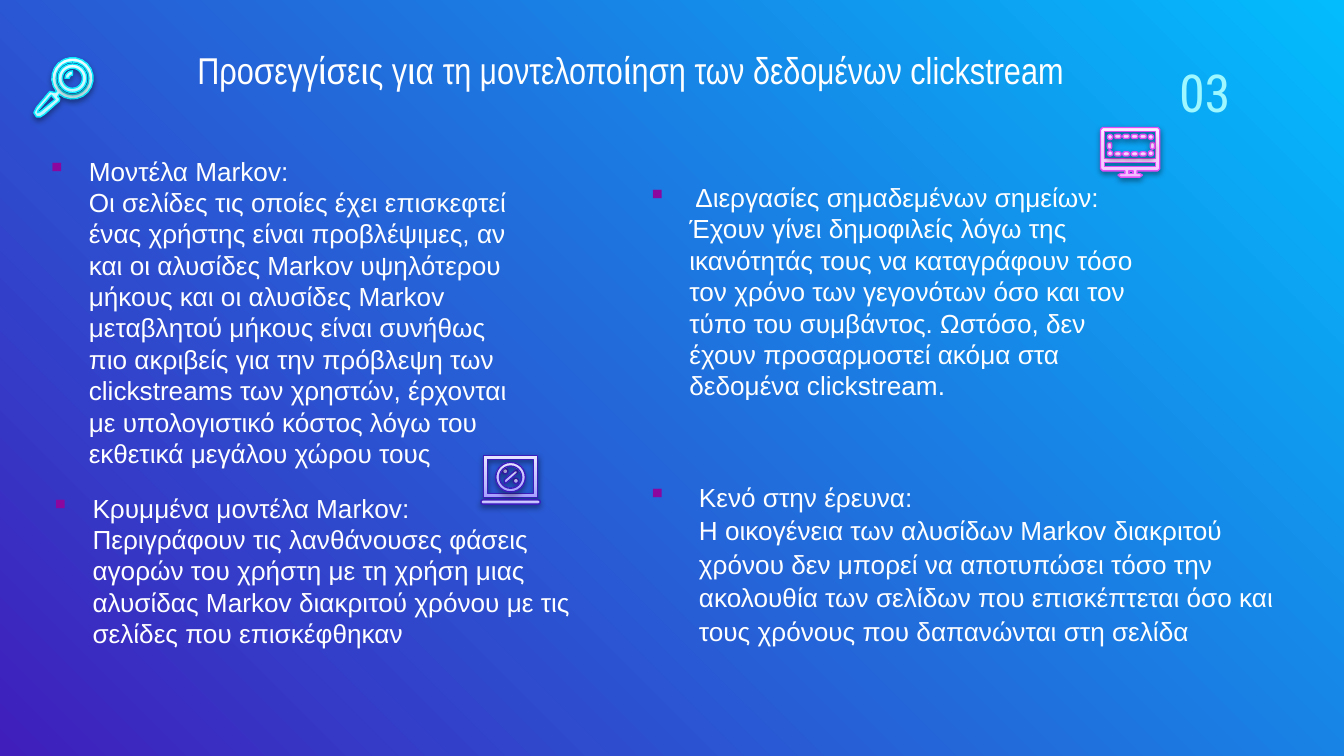
"""Build the slide on approaches to modelling clickstream data."""
from dataclasses import dataclass
from math import cos, radians, sin

from lxml import etree
from pptx import Presentation
from pptx.dml.color import RGBColor
from pptx.enum.shapes import MSO_SHAPE
from pptx.enum.text import MSO_ANCHOR, PP_ALIGN
from pptx.oxml.ns import qn
from pptx.util import Cm, Pt

TOP, BOTTOM = MSO_ANCHOR.TOP, MSO_ANCHOR.BOTTOM
LEFT, CENTER = PP_ALIGN.LEFT, PP_ALIGN.CENTER
ROUNDED, DONUT = MSO_SHAPE.ROUNDED_RECTANGLE, MSO_SHAPE.DONUT


@dataclass(frozen=True)
class Theme:
    text: str = "FFFFFF"
    number: str = "9FF7FF"
    bullet: str = "8C079E"
    shadow: str = "000000"
    backdrop: tuple = ((0, "401EBB"), (100, "02BCFD"))
    cyan: tuple = ("0AECFF", ((0, "BDF6FF"), (35, "D1F8FF"), (100, "EEFCFF")))
    pink: tuple = ("E14EF6", ((0, "F4BFFF"), (35, "F7D2FF"), (100, "FCEEFF")))
    violet: tuple = ("3A1DBC", ((0, "A69FFF"), (35, "C0BBFF"), (100, "E7E5FF")))
    title_font: str = "Arial Narrow"
    number_font: str = "Roboto Condensed"
    body_font: str = "Arial"
    space_font: str = "Calibri"
    title_size: int = 20
    number_size: int = 28
    body_size: int = 14


def child(parent, tag, **attributes):
    return etree.SubElement(parent, qn(tag), {k: str(v) for k, v in attributes.items()})


def arc(cx, cy, r, start, end, steps):
    angles = [radians(start + (end - start) * i / steps) for i in range(steps + 1)]
    return [(cx + r * cos(a), cy + r * sin(a)) for a in angles]


def box(left, top, width, height):
    right, bottom = left + width, top + height
    return [(left, top), (right, top), (right, bottom), (left, bottom)]


class SlideBuilder:
    def __init__(self, slide, theme):
        self.slide = slide
        self.theme = theme

    def gradient(self, fill, element, stops, angle):
        fill.gradient()
        fill.gradient_angle = angle
        stop_list = element.xpath(".//a:gradFill/a:gsLst")[0]
        for stop in list(stop_list):
            stop_list.remove(stop)
        for position, color in stops:
            child(child(stop_list, "a:gs", pos=position * 1000), "a:srgbClr", val=color)

    def background(self):
        self.gradient(self.slide.background.fill, self.slide.element, self.theme.backdrop, 45)

    def run(self, paragraph, text, font, size, color):
        run = paragraph.add_run()
        run.text = text
        run.font.name = font
        run.font.size = Pt(size)
        run.font.color.rgb = RGBColor.from_string(color)

    def frame(self, place, anchor=TOP, inset=0.25, top_inset=0.25):
        frame = self.slide.shapes.add_textbox(*map(Cm, place)).text_frame
        frame.word_wrap = True
        frame.vertical_anchor = anchor
        frame.margin_top, frame.margin_bottom = Cm(top_inset), Cm(inset)
        return frame

    def heading(self, place, text, font, size, color, align=LEFT, anchor=TOP):
        paragraph = self.frame(place, anchor).paragraphs[0]
        paragraph.alignment = align
        self.run(paragraph, text, font, size, color)

    def topic(self, place, name, detail, indent=0.79, top_inset=0.13, lead="", spacing=None):
        theme = self.theme
        paragraph = self.frame(place, inset=0.13, top_inset=top_inset).paragraphs[0]
        if spacing:
            paragraph.line_spacing = spacing
            paragraph.space_after = Pt(8)
        properties = paragraph._p.get_or_add_pPr()
        properties.set("marL", str(Cm(indent)))
        properties.set("indent", str(-Cm(indent)))
        child(child(properties, "a:buClr"), "a:srgbClr", val=theme.bullet)
        child(properties, "a:buChar", char="▪")
        if lead:
            self.run(paragraph, lead, theme.space_font, theme.body_size, theme.text)
        self.run(paragraph, name, theme.body_font, theme.body_size, theme.text)
        paragraph.add_line_break()
        self.run(paragraph, detail, theme.body_font, theme.body_size, theme.text)

    def outline(self, *contours):
        builder = None
        for contour in contours:
            start, *rest = [(Cm(x), Cm(y)) for x, y in contour]
            if builder is None:
                builder = self.slide.shapes.build_freeform(*start)
            else:
                builder.move_to(*start)
            builder.add_line_segments(rest, close=True)
        return builder.convert_to_shape()

    def pill(self, *place):
        shape = self.slide.shapes.add_shape(ROUNDED, *map(Cm, place))
        shape.adjustments[0] = 0.5
        return shape

    def ring(self, cx, cy, r, inner):
        place = (cx - r, cy - r, 2 * r, 2 * r)
        shape = self.slide.shapes.add_shape(DONUT, *map(Cm, place))
        shape.adjustments[0] = (r - inner) / (2 * r)
        return shape

    def icon(self, parts, palette):
        line_color, stops = palette
        for shape in parts:
            self.gradient(shape.fill, shape.element, stops, 90)
            shape.line.color.rgb = RGBColor.from_string(line_color)
            shape.line.width = Pt(0.75)
            shape.shadow.inherit = False
            effects = shape.element.spPr.find(qn("a:effectLst"))
            shadow = child(effects, "a:outerShdw", blurRad=Pt(3.1), dist=Pt(1.6),
                           dir=5400000, rotWithShape=0)
            child(child(shadow, "a:srgbClr", val=self.theme.shadow), "a:alpha", val=38000)
        self.slide.shapes.add_group_shape(shapes=parts)


def magnifier(page):
    center = (1.37, 1.48)
    handle = [(1.07, 1.73), (1.04, 1.75), (0.94, 1.73), (0.69, 2.03), (0.64, 2.13),
              (0.69, 2.21), (0.76, 2.21), (0.84, 2.16), (1.12, 1.91), (1.13, 1.86),
              (1.09, 1.83), (1.12, 1.78)]
    grip = [(0.97, 1.8), (1.04, 1.88), (0.76, 2.11), (0.71, 2.13), (0.72, 2.09)]
    body = handle + arc(*center, 0.39, 130, -220, 20)
    glint = arc(*center, 0.14, 180, 270, 4) + arc(*center, 0.06, 270, 180, 4)
    return [page.outline(body, arc(*center, 0.31, 0, 360, 20), grip),
            page.ring(*center, 0.27, 0.19), page.outline(glint)]


def monitor(page):
    body = [(20.84, 2.41), (21.88, 2.41), (21.92, 2.45), (21.92, 3.19), (21.88, 3.23),
            (21.49, 3.23), (21.49, 3.28), (21.54, 3.28), (21.59, 3.31), (21.54, 3.35),
            (21.18, 3.35), (21.13, 3.31), (21.18, 3.28), (21.26, 3.28), (21.26, 3.23),
            (20.84, 3.23), (20.8, 3.19), (20.8, 2.45)]
    screen = page.outline(body, box(20.88, 2.49, 0.96, 0.51), box(20.88, 3.07, 0.96, 0.08),
                          box(21.34, 3.23, 0.07, 0.05))
    rows = [page.pill(21.06 + 0.16 * i, y, 0.13, 0.08) for y in (2.54, 2.87) for i in range(4)]
    sides = [page.pill(x, 2.69, 0.08, 0.13) for x in (20.93, 21.74)]
    corners = [page.pill(x, y, 0.1, 0.1) for x in (20.93, 21.7) for y in (2.54, 2.85)]
    return [screen, *rows, *sides, *corners]


def laptop(page):
    slash = [(9.53, 9.07), (9.73, 8.9), (9.77, 8.89), (9.78, 8.94), (9.58, 9.12), (9.54, 9.14)]
    return [page.outline(box(9.14, 8.61, 1.02, 0.79), box(9.22, 8.69, 0.86, 0.64)),
            page.pill(9.09, 9.45, 1.12, 0.08), page.pill(9.5, 8.86, 0.1, 0.1),
            page.pill(9.7, 9.04, 0.1, 0.1), page.outline(slash),
            page.ring(9.65, 9.02, 0.28, 0.21)]


def main():
    deck = Presentation()
    deck.slide_width, deck.slide_height = Cm(25.4), Cm(14.29)
    theme = Theme()
    page = SlideBuilder(deck.slides.add_slide(deck.slide_layouts[6]), theme)
    page.background()
    page.heading((3.48, 0.64, 18.11, 2.03),
                 "Προσεγγίσεις για τη μοντελοποίηση των δεδομένων clickstream",
                 theme.title_font, theme.title_size, theme.text)
    page.heading((20.8, -0.38, 3.94, 2.95), "03", theme.number_font, theme.number_size,
                 theme.number, CENTER, BOTTOM)
    page.topic((0.64, 2.21, 9.58, 6.83), "Μοντέλα Markov:",
               "Oι σελίδες τις οποίες έχει επισκεφτεί ένας χρήστης είναι προβλέψιμες, αν και οι "
               "αλυσίδες Markov υψηλότερου μήκους και οι αλυσίδες Markov μεταβλητού μήκους είναι "
               "συνήθως πιο ακριβείς για την πρόβλεψη των clickstreams των χρηστών, έρχονται με "
               "υπολογιστικό κόστος λόγω του εκθετικά μεγάλου χώρου τους", top_inset=0.72)
    page.topic((0.71, 9.17, 10.67, 3.25), "Κρυμμένα μοντέλα Markov:",
               "Περιγράφουν τις λανθάνουσες φάσεις αγορών του χρήστη με τη χρήση μιας αλυσίδας "
               "Markov διακριτού χρόνου με τις σελίδες που επισκέφθηκαν")
    page.topic((11.99, 3.3, 10.06, 5.05), "Διεργασίες σημαδεμένων σημείων:",
               "Έχουν γίνει δημοφιλείς λόγω της ικανότητάς τους να καταγράφουν τόσο τον χρόνο των "
               "γεγονότων όσο και τον τύπο του συμβάντος. Ωστόσο, δεν έχουν προσαρμοστεί ακόμα "
               "στα δεδομένα clickstream.", lead=" ")
    page.topic((11.99, 8.92, 12.7, 4.27), "Κενό στην έρευνα:",
               "Η οικογένεια των αλυσίδων Markov διακριτού χρόνου δεν μπορεί να αποτυπώσει τόσο "
               "την ακολουθία των σελίδων που επισκέπτεται όσο και τους χρόνους που δαπανώνται "
               "στη σελίδα", indent=0.97, spacing=1.07)
    page.icon(magnifier(page), theme.cyan)
    page.icon(monitor(page), theme.pink)
    page.icon(laptop(page), theme.violet)
    deck.save("out.pptx")


if __name__ == "__main__":
    main()
